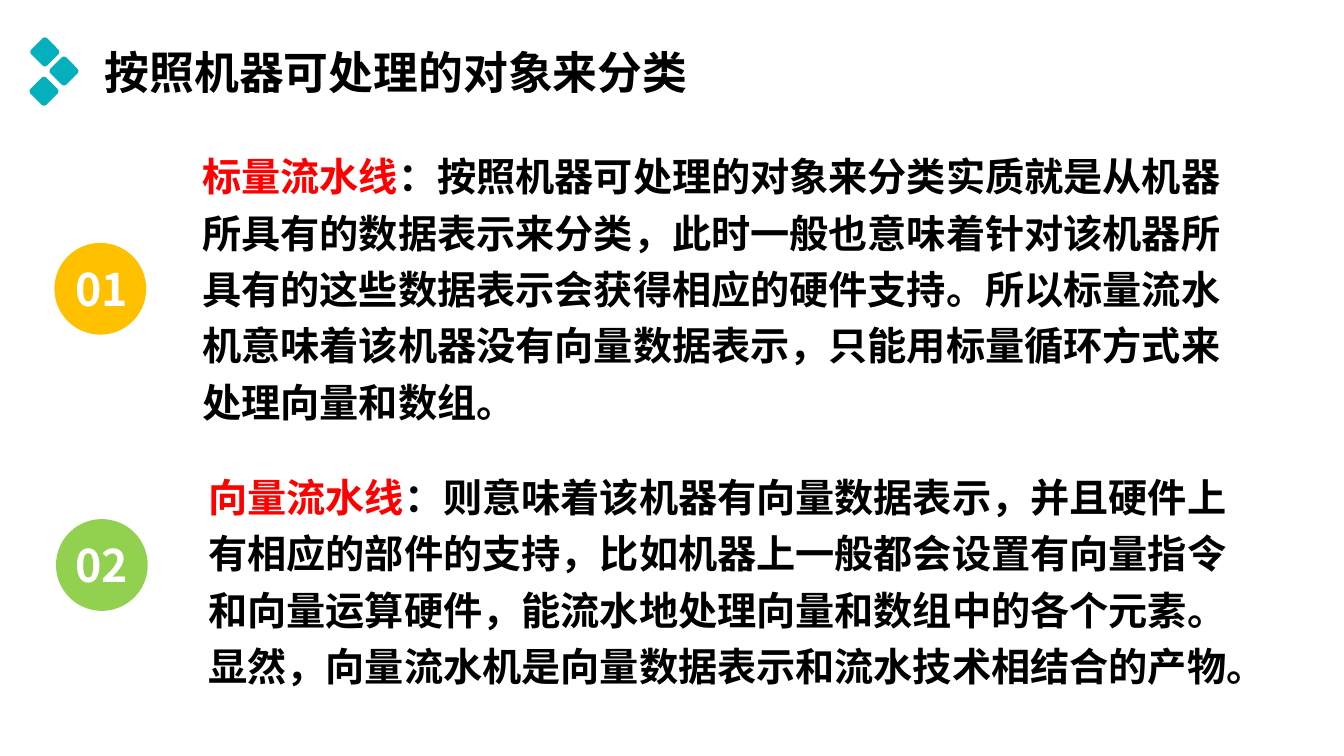
from pptx import Presentation
from pptx.util import Pt
from pptx.dml.color import RGBColor
from pptx.enum.lang import MSO_LANGUAGE_ID as LANG
from pptx.enum.shapes import MSO_SHAPE as SHAPE
from pptx.enum.text import MSO_AUTO_SIZE as AUTO
from pptx.oxml.ns import qn
from lxml.etree import SubElement

FONT = "Noto Sans CJK SC"

deck = Presentation()
deck.slide_width, deck.slide_height = Pt(960), Pt(540)
slide = deck.slides.add_slide(deck.slide_layouts[6])


def draw(kind, box, color):
    shape = slide.shapes.add_shape(kind, *[Pt(v) for v in box])
    shape.shadow.inherit = False
    shape.fill.solid()
    shape.fill.fore_color.rgb = RGBColor.from_string(color)
    shape.line.fill.background()
    return shape


def write(box, size, runs, wrap=False):
    frame = slide.shapes.add_textbox(*[Pt(v) for v in box]).text_frame
    frame.word_wrap = wrap
    frame.auto_size = AUTO.SHAPE_TO_FIT_TEXT
    para = frame.paragraphs[0]
    for text, color in runs:
        run = para.add_run()
        run.text = text
        font = run.font
        font.size, font.bold, font.name = Pt(size), True, FONT
        font.language_id = LANG.SIMPLIFIED_CHINESE
        font.color.rgb = RGBColor.from_string(color)
        # East Asian typeface
        SubElement(run._r.get_or_add_rPr(), qn("a:ea")).set("typeface", FONT)
    return para


# Title with three rounded diamonds
side = 16
for x, y in [(32, 37.1), (45.7, 50.8), (31.4, 65.2)]:
    tile = draw(SHAPE.ROUNDED_RECTANGLE,
                (x - side / 2, y - side / 2, side, side), "04B0BE")
    tile.adjustments[0] = 0.14
    tile.rotation = 45
write((67.7, 28.1, 444, 46), 32, [("按照机器可处理的对象来分类", "000000")])

# Numbered items: number, disc place and colour, text box, term, text
items = [
    ("01", 38.9, 173.5, "FFC000", (101.5, 98.6, 802.8, 211), "标量流水线",
     "：按照机器可处理的对象来分类实质就是从机器所具有的数据表示来分类，"
     "此时一般也意味着针对该机器所具有的这些数据表示会获得相应的硬件支持。"
     "所以标量流水机意味着该机器没有向量数据表示，"
     "只能用标量循环方式来处理向量和数组。"),
    ("02", 40, 370.8, "92D050", (105.8, 327.6, 781.2, 170), "向量流水线",
     "：则意味着该机器有向量数据表示，并且硬件上有相应的部件的支持，"
     "比如机器上一般都会设置有向量指令和向量运算硬件，"
     "能流水地处理向量和数组中的各个元素。"
     "显然，向量流水机是向量数据表示和流水技术相结合的产物。"),
]
for num, x, y, color, box, term, text in items:
    draw(SHAPE.OVAL, (x, y, 65.5, 65.5), color)
    write((46.8, y + 9.7, 54.7, 46), 32, [(num, "FFFFFF")])
    para = write(box, 28, [(term, "FF0000"), (text, "000000")], wrap=True)
    para.level = 1
    para.line_spacing = 1.2
    props = para._p.get_or_add_pPr()
    props.set("marL", str(Pt(36)))
    props.set("indent", "0")

deck.save("out.pptx")
